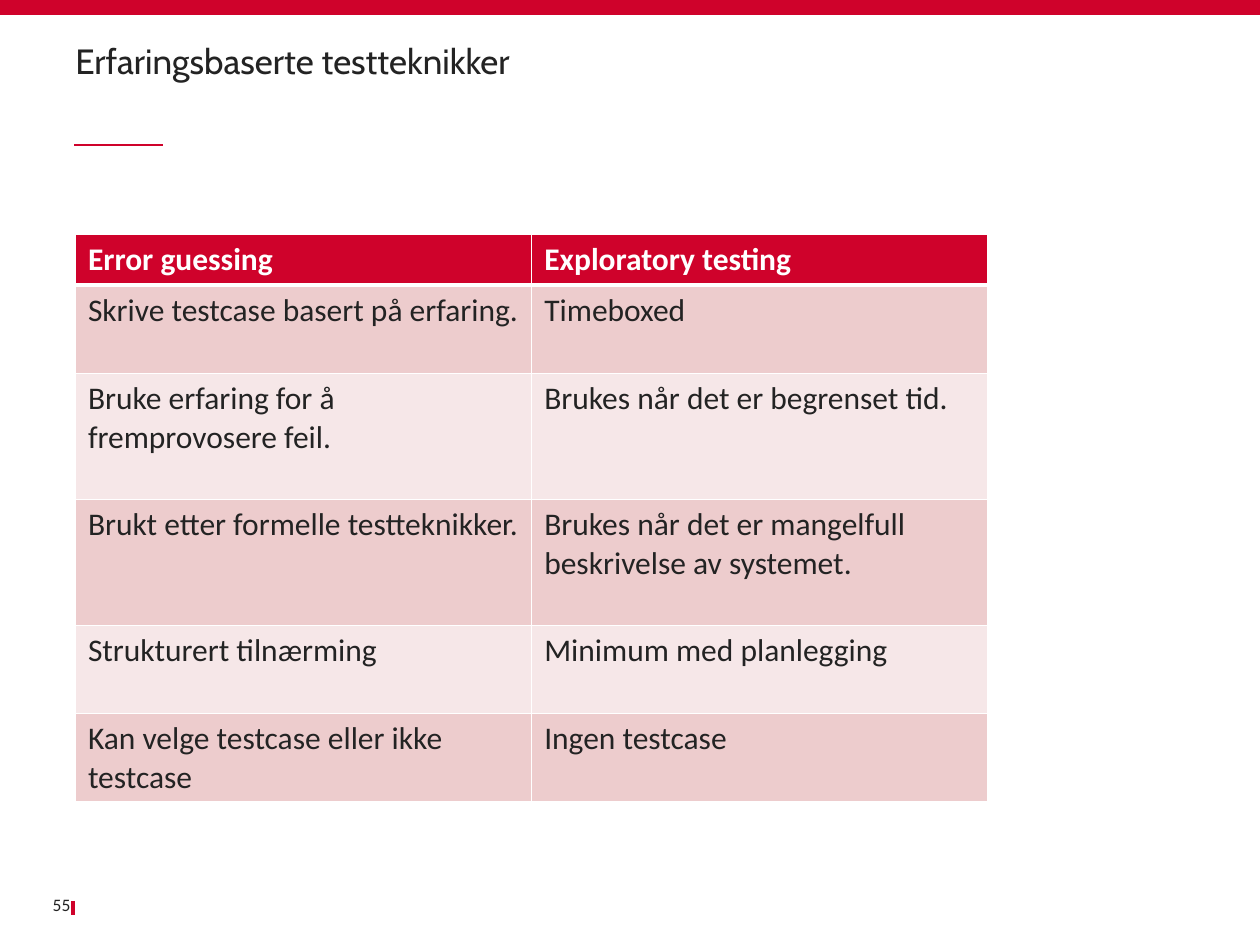
from lxml import etree
from pptx import Presentation, util as u
from pptx.dml.color import RGBColor
from pptx.enum import shapes, text
from pptx.oxml.ns import qn

THEME = {
    "red": RGBColor.from_string("CF022B"),
    "ink": RGBColor.from_string("232323"),
    "white": RGBColor.from_string("FFFFFF"),
    "bands": [RGBColor.from_string("EDCCCD"), RGBColor.from_string("F6E7E8")],
    "title": {"name": "Cabin", "size": u.Pt(20)},
    "number": {"name": "Calibri", "size": u.Pt(10)},
    "table": {"name": "Calibri", "size": u.Pt(18)},
}


def write(frame, words, style, color, **frame_format):
    for name, value in frame_format.items():
        setattr(frame, name, value)
    para = frame.paragraphs[0]
    span = para.add_run()
    span.text = words
    for name, value in style.items():
        setattr(span.font, name, value)
    span.font.color.rgb = color
    return para


def add_border(cell, side, points):
    line = etree.SubElement(cell._tc.get_or_add_tcPr(), qn(f"a:ln{side}"), w=str(u.Pt(points)))
    fill = etree.SubElement(line, qn("a:solidFill"))
    etree.SubElement(fill, qn("a:srgbClr"), val=str(THEME["white"]))


deck = Presentation()
deck.slide_width, deck.slide_height = u.Cm(25.4), u.Cm(19.05)
page = deck.slides.add_slide(deck.slide_layouts[6])

# Top bar
bar = page.shapes.add_shape(shapes.MSO_SHAPE.RECTANGLE, 0, 0, deck.slide_width, u.Cm(0.3))
bar.shadow.inherit = False
bar.fill.solid()
bar.fill.fore_color.rgb = THEME["red"]
bar.line.fill.background()

# Accent lines: page number mark and title rule
for x1, y1, x2, y2, points in [(1.47, 18.16, 1.47, 18.44, 2.25), (1.5, 2.92, 3.28, 2.92, 1)]:
    rule = page.shapes.add_connector(
        shapes.MSO_CONNECTOR.STRAIGHT, u.Cm(x1), u.Cm(y1), u.Cm(x2), u.Cm(y2))
    rule.line.color.rgb = THEME["red"]
    rule.line.width = u.Pt(points)
    etree.SubElement(rule._element.spPr, qn("a:effectLst"))

# Title
box = page.shapes.add_textbox(u.Cm(1.52), u.Cm(0.53), u.Cm(22.35), u.Cm(2.18))
para = write(box.text_frame, "Erfaringsbaserte testteknikker", THEME["title"], THEME["ink"],
             word_wrap=True, vertical_anchor=text.MSO_ANCHOR.TOP,
             margin_left=0, margin_right=0, margin_top=u.Cm(0.36))
para.line_spacing = 0.9

# Page number
box = page.shapes.add_textbox(u.Cm(0.5), u.Cm(17.93), u.Cm(0.92), u.Cm(0.61))
para = write(box.text_frame, "55", THEME["number"], THEME["ink"],
             word_wrap=False, vertical_anchor=text.MSO_ANCHOR.MIDDLE,
             margin_left=0, margin_right=0)
para.alignment = text.PP_ALIGN.RIGHT

# Comparison table
rows = [
    ("Error guessing", "Exploratory testing"),
    ("Skrive testcase basert på erfaring.", "Timeboxed"),
    ("Bruke erfaring for å fremprovosere feil.", "Brukes når det er begrenset tid."),
    ("Brukt etter formelle testteknikker.",
     "Brukes når det er mangelfull beskrivelse av systemet."),
    ("Strukturert tilnærming", "Minimum med planlegging"),
    ("Kan velge testcase eller ikke testcase", "Ingen testcase"),
]
heights = [1, 1.78, 2.54, 2.54, 1.78, 1.78]
table = page.shapes.add_table(len(rows), 2, u.Cm(1.52), u.Cm(4.73),
                              u.Cm(18.4), u.Cm(sum(heights))).table
table.first_row = table.horz_banding = False
for column in table.columns:
    column.width = u.Cm(9.2)

for r, (words, height) in enumerate(zip(rows, heights)):
    table.rows[r].height = u.Cm(height)
    header = r == 0
    for c, label in enumerate(words):
        cell = table.cell(r, c)
        write(cell.text_frame, label, {**THEME["table"], "bold": header},
              THEME["white"] if header else THEME["ink"])
        for side in "LRTB":
            under_header = (r, side) in [(0, "B"), (1, "T")]
            add_border(cell, side, 3 if under_header else 1)
        cell.fill.solid()
        cell.fill.fore_color.rgb = THEME["red"] if header else THEME["bands"][(r - 1) % 2]

deck.save("out.pptx")
